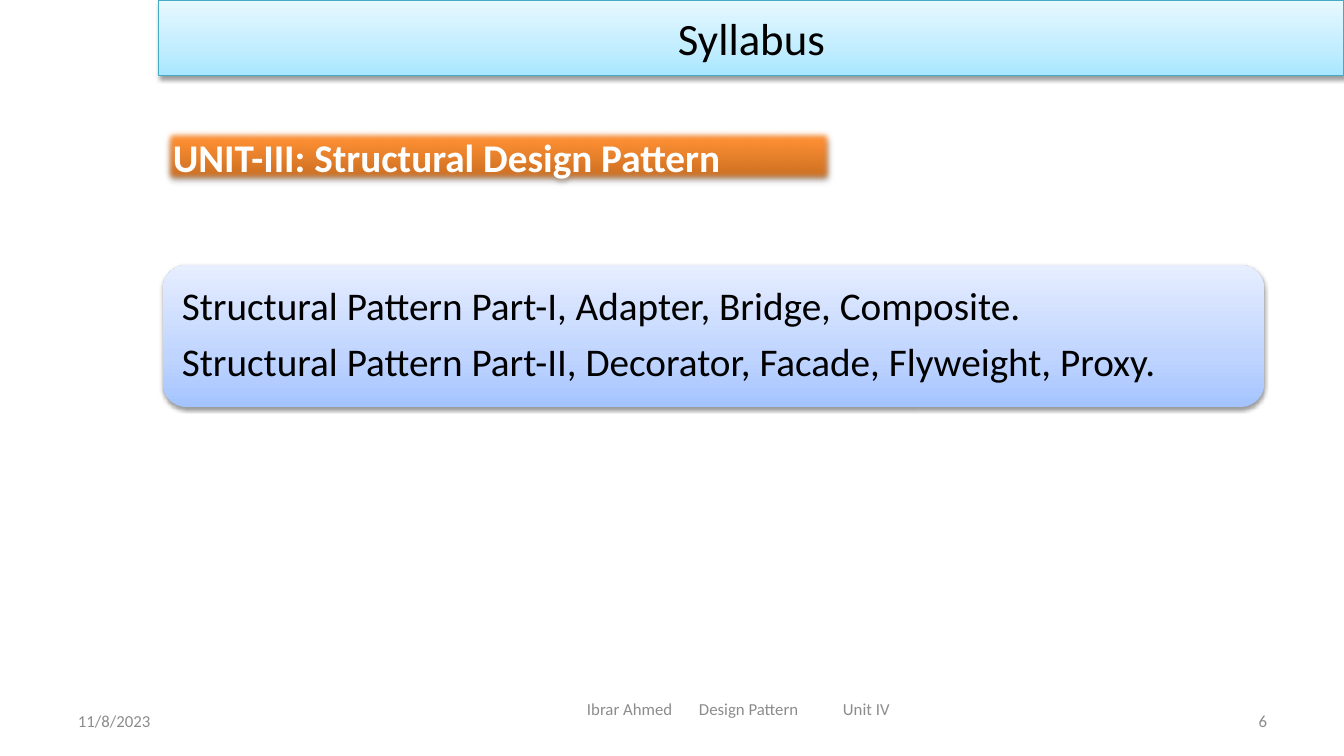
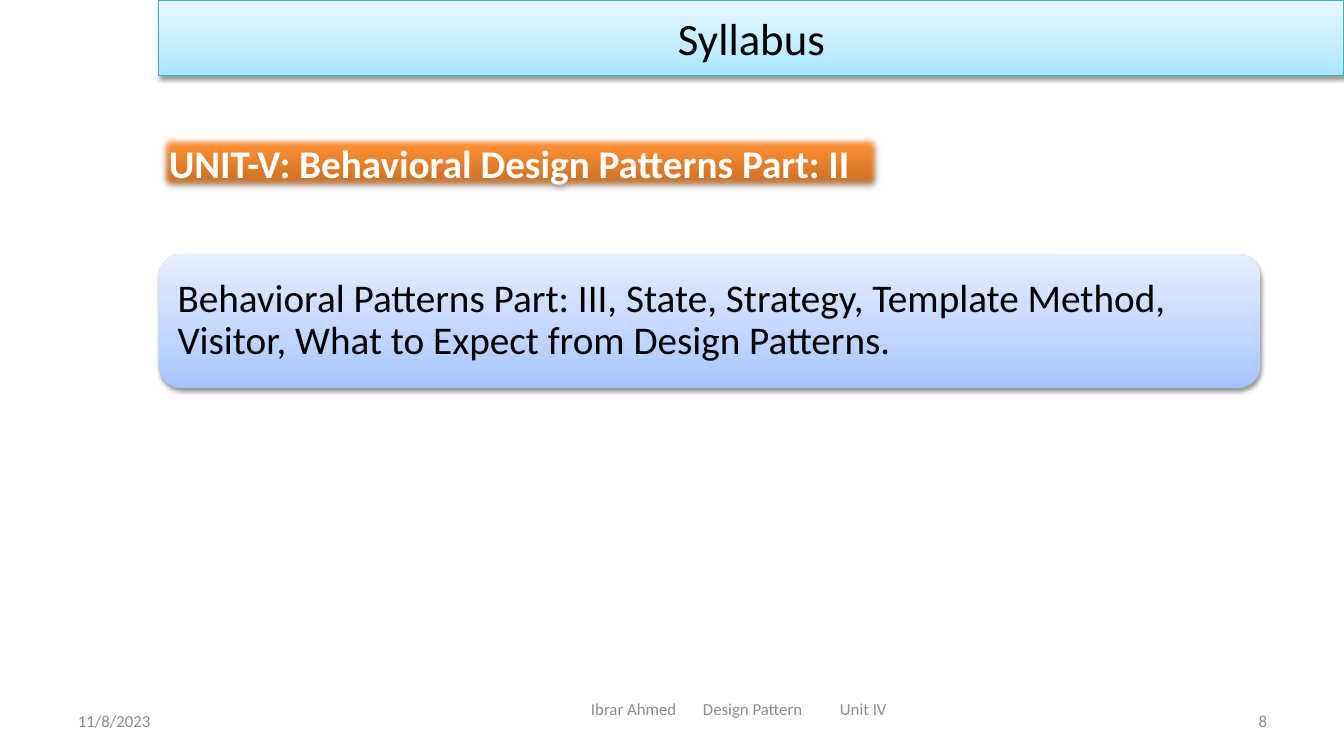
from lxml.etree import SubElement as Sub
from pptx import Presentation
from pptx.dml.color import RGBColor as RGB
from pptx.enum.shapes import MSO_SHAPE as Kind
from pptx.enum.text import MSO_ANCHOR as Anchor, PP_ALIGN as Align
from pptx.oxml.ns import qn
from pptx.util import Pt

SCALE = 914400 / 100.8
FONT = "Calibri"
HUES = {"black": "000000", "white": "FFFFFF", "gray": "8C8C8C", "edge": "46AAC5"}
# Gradient stops, from bottom to top
FADES = {
    "sky": [(0, "A7E6FF"), (35, "C1EDFF"), (100, "E7F8FF")],
    "fire": [(0, "C2691F"), (80, "FF9034"), (100, "FF9136")],
    "blue": [(0, "A4C4FF"), (35, "BFD4FF"), (100, "E6EEFF")],
}


def px(num):
    return round(num * SCALE)


class Deck:
    def __init__(self):
        self.prs = Presentation()
        self.prs.slide_width, self.prs.slide_height = px(1344), px(756)
        self.slide = None

    def start(self):
        self.slide = self.prs.slides.add_slide(self.prs.slide_layouts[6])

    def label_text(self, shape, lines, size, hue, align=Align.LEFT, bold=False, tabs=()):
        frame = shape.text_frame
        frame.word_wrap = True
        frame.vertical_anchor = Anchor.MIDDLE
        frame.text = "\n".join(lines)
        for para in frame.paragraphs:
            if tabs:
                stops = Sub(para._p.get_or_add_pPr(), qn("a:tabLst"))
                for pos in tabs:
                    Sub(stops, qn("a:tab"), pos=str(px(pos)), algn="l")
            para.alignment = align
            font = para.font
            font.name, font.size, font.bold = FONT, Pt(size), bold
            font.color.rgb = RGB.from_string(HUES[hue])
        return frame

    def block(self, kind, box, fade, dist=20000, alpha=38, soft=0):
        """Add a shape with a vertical gradient and a shadow below it."""
        shape = self.slide.shapes.add_shape(kind, *map(px, box))
        shape.line.fill.background()
        shape.fill.gradient()
        shape.fill.gradient_angle = 90
        props = shape._element.spPr
        stops = props.find(qn("a:gradFill")).find(qn("a:gsLst"))
        for old in list(stops):
            stops.remove(old)
        for pos, hue in FADES[fade]:
            stop = Sub(stops, qn("a:gs"), pos=str(pos * 1000))
            Sub(stop, qn("a:srgbClr"), val=hue)
        shape.shadow.inherit = False
        looks = props.find(qn("a:effectLst"))
        shade = Sub(looks, qn("a:outerShdw"), blurRad="40000", dist=str(dist),
                    dir="5400000", rotWithShape="0")
        tint = Sub(shade, qn("a:srgbClr"), val=HUES["black"])
        Sub(tint, qn("a:alpha"), val=str(alpha * 1000))
        if soft:
            Sub(looks, qn("a:softEdge"), rad=str(soft))
        return shape

    def title(self, text):
        band = self.block(Kind.RECTANGLE, (159, 0, 1185, 76), "sky")
        band.line.color.rgb = RGB.from_string(HUES["edge"])
        band.line.width = Pt(0.75)
        self.label_text(band, [text], 32, "black", Align.CENTER)

    def label(self, box, text):
        tag = self.block(Kind.RECTANGLE, box, "fire", 23000, 35, 63500)
        frame = self.label_text(tag, [text], 28, "white", Align.JUSTIFY, True)
        frame.vertical_anchor = Anchor.TOP

    def panel(self, box, lines):
        card = self.block(Kind.ROUNDED_RECTANGLE, box, "blue")
        frame = self.label_text(card, lines, 28, "black")
        frame.margin_left = frame.margin_right = px(12)
        frame.margin_top = frame.margin_bottom = px(12)
        for para in frame.paragraphs:
            para.line_spacing = 0.9
            para.space_after = Pt(9.8)

    def note(self, box, text, align=Align.LEFT, tabs=()):
        area = self.slide.shapes.add_textbox(*map(px, box))
        return self.label_text(area, [text], 12, "gray", align, tabs=tabs)

    def footer(self, page, left, tabs):
        self.note((68, 701, 313, 40), "11/8/2023")
        frame = self.note((left, 689, 400, 40),
                          "Ibrar Ahmed\tDesign Pattern\tUnit IV", tabs=tabs)
        frame.margin_left = 0
        self.note((964, 701, 313, 40), str(page), Align.RIGHT)


# Page, footer left and tabs, label box and text, panel box and lines
UNITS = [
    (6, 587, (112, 256),
     (163, 128, 672, 57), "UNIT-III: Structural Design Pattern",
     (163, 265, 1101, 142),
     ["Structural Pattern Part-I, Adapter, Bridge, Composite.",
      "Structural Pattern Part-II, Decorator, Facade, Flyweight, Proxy."]),
    (8, 591, (112, 249),
     (159, 134, 723, 57), "UNIT-V: Behavioral Design Patterns Part: II",
     (159, 254, 1101, 134),
     ["Behavioral Patterns Part: III, State, Strategy, Template Method, "
      "Visitor, What to Expect from Design Patterns."]),
]


def main():
    deck = Deck()
    for page, left, tabs, tag, name, card, lines in UNITS:
        deck.start()
        deck.footer(page, left, tabs)
        deck.title("Syllabus")
        deck.label(tag, name)
        deck.panel(card, lines)
    deck.prs.save("out.pptx")


if __name__ == "__main__":
    main()
